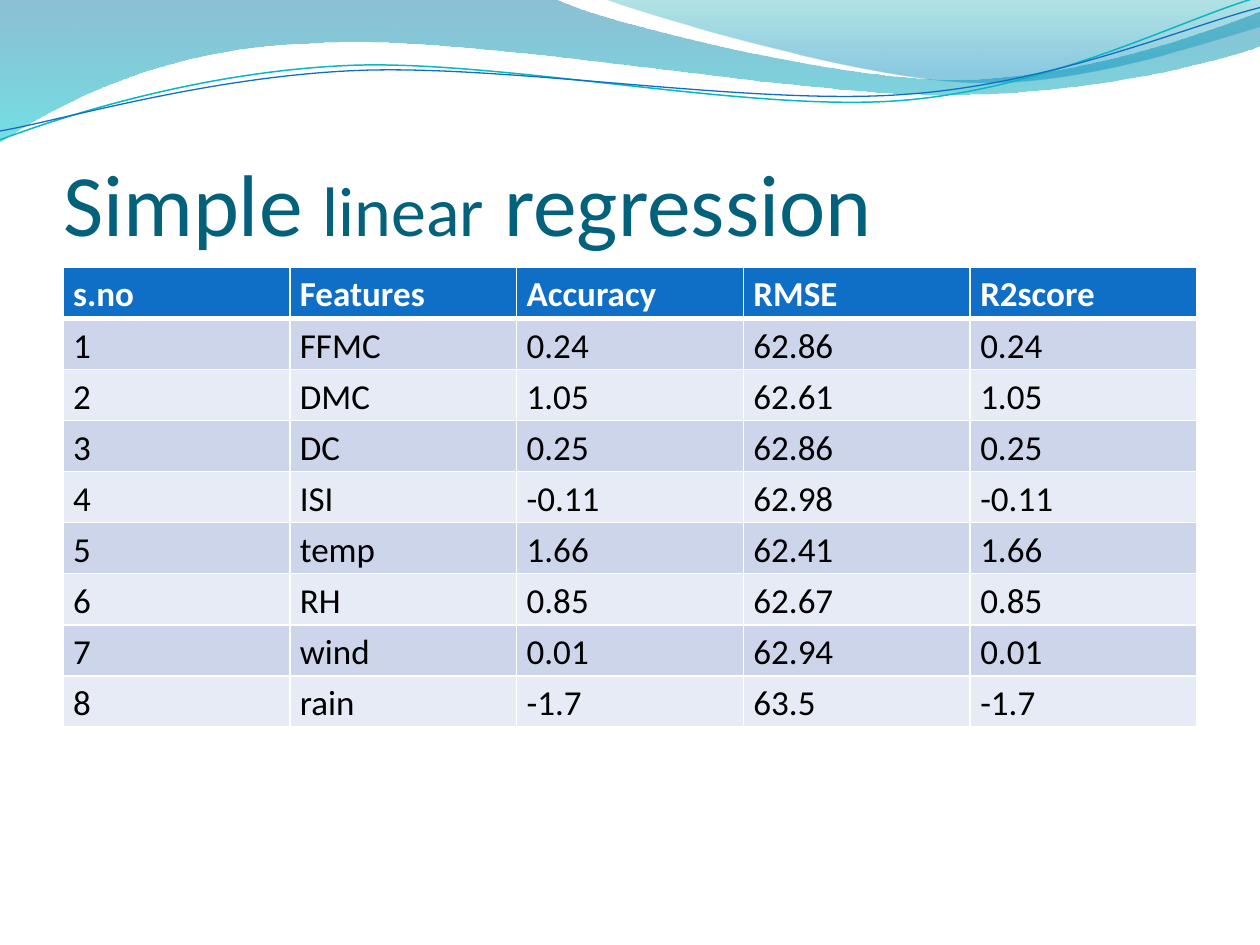
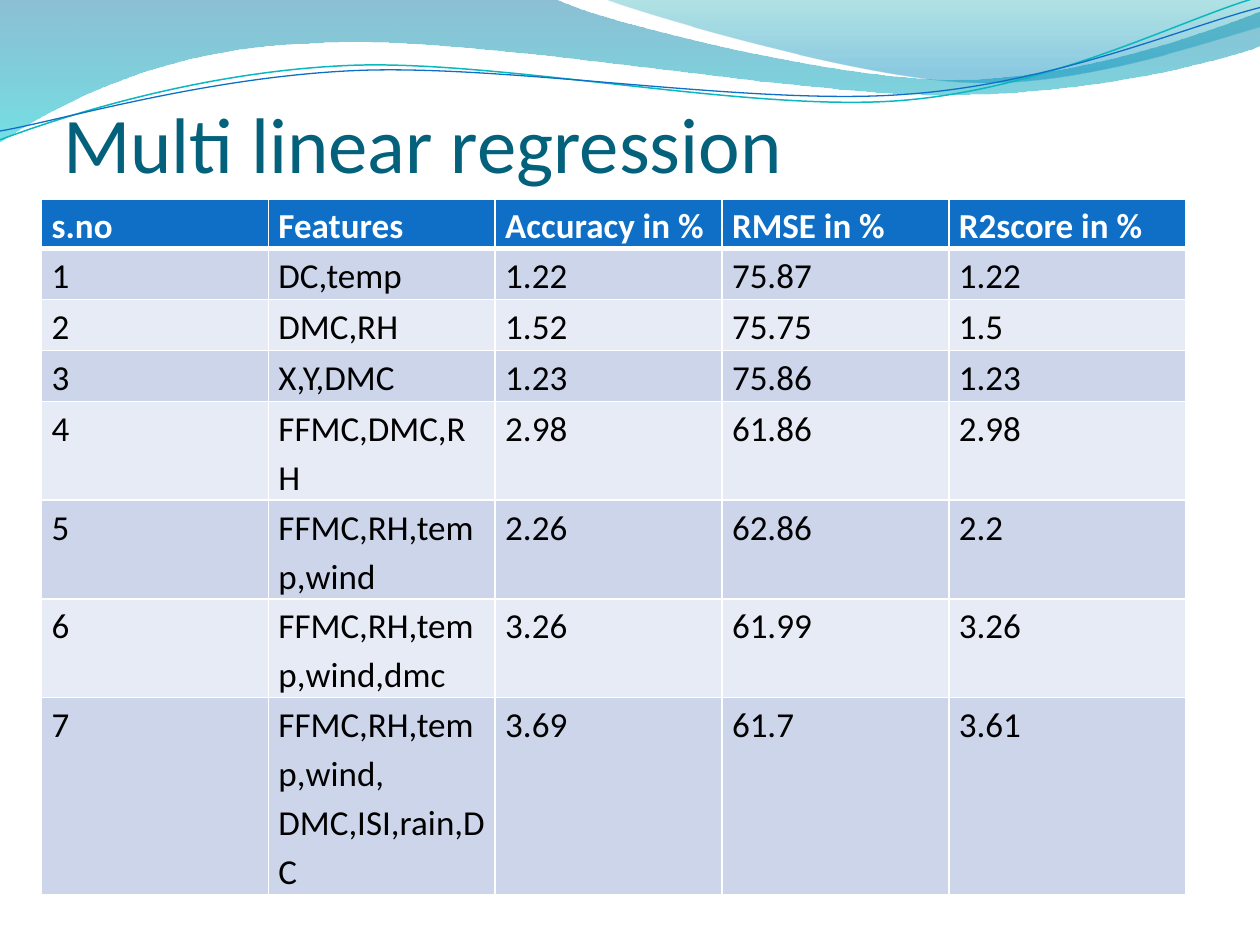
from itertools import chain
from typing import Any, NamedTuple

from lxml.etree import Element, SubElement
from pptx import Presentation
from pptx.dml.color import RGBColor
from pptx.enum.text import MSO_ANCHOR, MSO_AUTO_SIZE, PP_ALIGN
from pptx.oxml.ns import qn
from pptx.shapes.autoshape import Shape
from pptx.slide import Slide, SlideLayout
from pptx.util import Emu, Inches, Pt

SLIDE_WIDTH, SLIDE_HEIGHT = Inches(10), Inches(7.5)
GRID_COLUMNS = 10
CELL = SLIDE_WIDTH / GRID_COLUMNS
FONT = "Calibri"
TITLE_COLOR = "04617B"
HEADER_FILL = "0F6FC6"
BAND_FILLS = ("CCD5EA", "E7EBF5")
WHITE, BLACK = "FFFFFF", "000000"

ROW_HEIGHT = 3.65 / 9
CELL_MARGIN = 0.08
TITLE_LEFT, TITLE_TOP, TITLE_WIDTH = 0.5, 0.77, 9

Point = tuple[float, float]


class Stop(NamedTuple):
    position: float
    color: str
    opacity: int


class Wave(NamedTuple):
    """Segments hold one point for a straight line, three for a Bézier curve."""
    start: Point
    segments: list[list[Point]]
    stops: tuple[Stop, ...] = ()
    line_color: str = ""
    line_width: float = 0


class TitleRun(NamedTuple):
    text: str
    size: int


class ResultSlide(NamedTuple):
    title: list[TitleRun]
    title_height: float
    table_left: float
    table_top: float
    column_widths: list[float]
    header_height: float
    rows: list[list[str]]


WAVES = [
    Wave((0, 0), [
        [(4.4, -0.01)],
        [(4.76, 0.17), (6.64, 0.63), (7.58, 0.63)],
        [(8.53, 0.63), (9.58, 0.26), (10, 0.09)],
        [(10.01, 0.36)],
        [(9.83, 0.44), (8.7, 0.76), (7.46, 0.75)],
        [(6.22, 0.75), (3.82, 0.28), (2.57, 0.34)],
        [(1.29, 0.36), (0.46, 0.83), (-0.01, 1.13)],
        [(0, 0)],
    ], stops=(Stop(0, "0074A1", 45), Stop(1, "00C6CF", 55))),
    Wave((4.79, -0.01), [
        [(5.09, 0.11), (6.82, 0.62), (7.69, 0.65)],
        [(8.56, 0.69), (9.61, 0.32), (10, 0.21)],
        [(10, 0)],
        [(4.79, -0.01)],
    ], stops=(Stop(0, "00A1A9", 30), Stop(0.8, "008BBF", 45))),
    Wave((0, 1.11), [
        [(0.48, 0.93), (1.58, 0.57), (2.77, 0.52)],
        [(3.95, 0.47), (5.93, 0.89), (7.13, 0.8)],
        [(8.33, 0.71), (9.38, 0.15), (9.98, -0.02)],
    ], line_color="0AB8BF", line_width=0.85),
    Wave((0, 1.04), [
        [(0.47, 0.96), (1.64, 0.61), (2.83, 0.56)],
        [(4.03, 0.51), (5.97, 0.84), (7.17, 0.75)],
        [(8.36, 0.67), (9.41, 0.21), (10, 0.06)],
    ], line_color="0F6FC6", line_width=0.75),
]

RESULT_SLIDES = [
    ResultSlide(
        [TitleRun("Simple ", 50), TitleRun("linear", 40), TitleRun(" regression", 50)],
        1.25, 0.5, 2.12, [1.8] * 5, ROW_HEIGHT,
        [
            ["s.no", "Features", "Accuracy", "RMSE", "R2score"],
            ["1", "FFMC", "0.24", "62.86", "0.24"],
            ["2", "DMC", "1.05", "62.61", "1.05"],
            ["3", "DC", "0.25", "62.86", "0.25"],
            ["4", "ISI", "-0.11", "62.98", "-0.11"],
            ["5", "temp", "1.66", "62.41", "1.66"],
            ["6", "RH", "0.85", "62.67", "0.85"],
            ["7", "wind", "0.01", "62.94", "0.01"],
            ["8", "rain", "-1.7", "63.5", "-1.7"],
        ],
    ),
    ResultSlide(
        [TitleRun("Multi linear regression", 45)],
        0.73, 0.33, 1.58, [1.8] * 4 + [1.88], 0.38,
        [
            ["s.no", "Features", "Accuracy in %", "RMSE in %", "R2score in %"],
            ["1", "DC,temp", "1.22", "75.87", "1.22"],
            ["2", "DMC,RH", "1.52", "75.75", "1.5"],
            ["3", "X,Y,DMC", "1.23", "75.86", "1.23"],
            ["4", "FFMC,DMC,RH", "2.98", "61.86", "2.98"],
            ["5", "FFMC,RH,temp,wind", "2.26", "62.86", "2.2"],
            ["6", "FFMC,RH,temp,wind,dmc", "3.26", "61.99", "3.26"],
            ["7", "FFMC,RH,temp,wind,\nDMC,ISI,rain,DC", "3.69", "61.7", "3.61"],
        ],
    ),
]


def cells(count: float) -> Emu:
    """Length of a number of grid cells."""
    return Emu(round(count * CELL))


def color(hex_value: str) -> RGBColor:
    return RGBColor.from_string(hex_value)


def apply_format(target: Any, values: dict[str, Any]) -> None:
    for name, value in values.items():
        setattr(target, name, value)


def bend_segments(shape: Shape, segments: list[list[Point]]) -> None:
    """Join each three straight steps of a curved segment into one Bézier curve."""
    outline = next(shape.element.iter(qn("a:path")))
    steps = iter(outline.findall(qn("a:lnTo")))
    for segment in segments:
        segment_steps = [next(steps) for _ in segment]
        if len(segment) == 1:
            continue
        curve = Element(qn("a:cubicBezTo"))
        segment_steps[0].addprevious(curve)
        for step in segment_steps:
            curve.append(step[0])
            outline.remove(step)


def fill_gradient(shape: Shape, stops: tuple[Stop, ...]) -> None:
    shape.fill.gradient()
    shape.fill.gradient_angle = 270
    for gradient_stop, stop in zip(shape.fill.gradient_stops, stops):
        gradient_stop.position = stop.position
        gradient_stop.color.rgb = color(stop.color)
    for element, stop in zip(shape.element.iter(qn("a:srgbClr")), stops):
        SubElement(element, qn("a:alpha"), val=str(stop.opacity * 1000))


def draw_wave(slide: Slide, wave: Wave) -> Shape:
    start, *vertices = [
        (cells(x), cells(y)) for x, y in chain([wave.start], *wave.segments)
    ]
    builder = slide.shapes.build_freeform(*start)
    builder.add_line_segments(vertices, close=bool(wave.stops))
    shape = builder.convert_to_shape()
    bend_segments(shape, wave.segments)
    shape.shadow.inherit = False
    if wave.stops:
        fill_gradient(shape, wave.stops)
        shape.line.fill.background()
    else:
        shape.fill.background()
        shape.line.color.rgb = color(wave.line_color)
        shape.line.width = Pt(wave.line_width)
    return shape


def add_waves_to_layout(slide: Slide, layout: SlideLayout) -> None:
    """Draw the waves, then move them behind the layout's title."""
    layout_title = layout.placeholders[0].element
    for wave in WAVES:
        layout_title.addprevious(draw_wave(slide, wave).element)


def write_title(slide: Slide, content: ResultSlide) -> None:
    title = slide.shapes.title
    apply_format(title, {
        "left": cells(TITLE_LEFT), "top": cells(TITLE_TOP),
        "width": cells(TITLE_WIDTH), "height": cells(content.title_height),
    })
    apply_format(title.text_frame, {
        "margin_left": 0, "margin_right": 0, "margin_top": cells(0.05), "margin_bottom": 0,
        "vertical_anchor": MSO_ANCHOR.BOTTOM, "word_wrap": True,
        "auto_size": MSO_AUTO_SIZE.NONE,
    })
    paragraph = title.text_frame.paragraphs[0]
    paragraph.alignment = PP_ALIGN.LEFT
    for title_run in content.title:
        run = paragraph.add_run()
        run.text = title_run.text
        apply_format(run.font, {"name": FONT, "size": Pt(title_run.size)})
        run.font.color.rgb = color(TITLE_COLOR)


def add_borders(cell: Any, widths: dict[str, float]) -> None:
    """Draw white borders, given as side letter and width in points."""
    properties = cell._tc.get_or_add_tcPr()
    for index, (side, width) in enumerate(widths.items()):
        border = Element(qn(f"a:ln{side}"), w=str(Pt(width)))
        SubElement(SubElement(border, qn("a:solidFill")), qn("a:srgbClr"), val=WHITE)
        properties.insert(index, border)


def write_cell(cell: Any, text: str, row_index: int) -> None:
    is_header = row_index == 0
    apply_format(cell, {
        "text": text, "margin_left": cells(CELL_MARGIN), "margin_right": cells(CELL_MARGIN),
        "margin_top": 0, "margin_bottom": 0,
    })
    cell.fill.solid()
    fill = HEADER_FILL if is_header else BAND_FILLS[(row_index - 1) % 2]
    cell.fill.fore_color.rgb = color(fill)
    if is_header:
        add_borders(cell, {"L": 1, "R": 1, "T": 1, "B": 3})
    for paragraph in cell.text_frame.paragraphs:
        paragraph.line_spacing = 1.15
        for run in paragraph.runs:
            apply_format(run.font, {"name": FONT, "size": Pt(20), "bold": is_header})
            run.font.color.rgb = color(WHITE if is_header else BLACK)


def add_result_table(slide: Slide, content: ResultSlide) -> None:
    heights = [content.header_height] + [ROW_HEIGHT] * (len(content.rows) - 1)
    table = slide.shapes.add_table(
        len(heights), len(content.column_widths),
        cells(content.table_left), cells(content.table_top),
        cells(sum(content.column_widths)), cells(sum(heights)),
    ).table
    for column, width in zip(table.columns, content.column_widths):
        column.width = cells(width)
    for row_index, (row, height) in enumerate(zip(table.rows, heights)):
        row.height = cells(height)
        for cell, text in zip(row.cells, content.rows[row_index]):
            write_cell(cell, text, row_index)


def main() -> None:
    presentation = Presentation()
    apply_format(presentation, {"slide_width": SLIDE_WIDTH, "slide_height": SLIDE_HEIGHT})
    layout = presentation.slide_layouts.get_by_name("Title Only")
    for content in RESULT_SLIDES:
        slide = presentation.slides.add_slide(layout)
        write_title(slide, content)
        add_result_table(slide, content)
    add_waves_to_layout(presentation.slides[0], layout)
    presentation.save("out.pptx")


if __name__ == "__main__":
    main()
